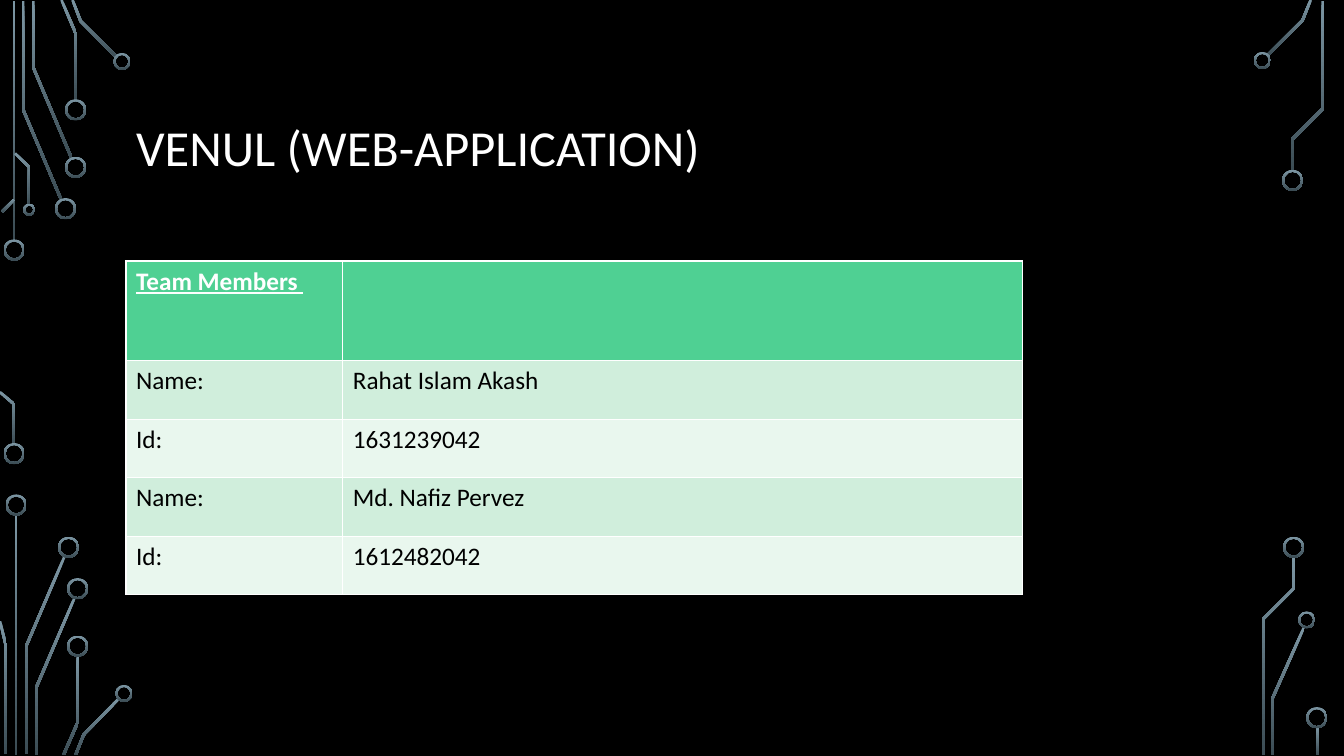
"""Build the team slide with its circuit-board frame."""
from itertools import pairwise
from pptx import Presentation
from pptx.dml.color import RGBColor
from pptx.enum.shapes import MSO_SHAPE
from pptx.enum.text import MSO_ANCHOR, PP_ALIGN
from pptx.util import Inches, Pt

DONUT = MSO_SHAPE.DONUT
MIDDLE = MSO_ANCHOR.MIDDLE
LEFT = PP_ALIGN.LEFT
WHITE = RGBColor.from_string("FFFFFF")
BLACK = RGBColor.from_string("000000")
THEME = {
    "back": BLACK,
    "wire": [RGBColor.from_string(c) for c in ("7C96A3", "3B4C54")],
    "rows": [RGBColor.from_string(c) for c in ("E9F7EE", "D0EEDC")],
    "top": RGBColor.from_string("4FD093"),
    "title": {"name": "Calibri", "size": Pt(36), "color": WHITE},
    "head": {"name": "Calibri", "size": Pt(18), "color": WHITE,
             "bold": True, "underline": True},
    "body": {"name": "Calibri", "size": Pt(18), "color": BLACK,
             "bold": False, "underline": False},
}
HALF = 0.013
RING = 0.02

TRACES = [
    [(0.14, 0.01), (0.14, 2.4)],
    [(0.23, 0.01), (0.23, 1.09), (0.61, 1.99)],
    [(0.33, 0.01), (0.33, 0.67), (0.71, 1.57)],
    [(0.61, 0), (0.75, 0.33), (0.75, 1)],
    [(0.72, 0), (0.8, 0.21), (1.16, 0.57)],
    [(0.02, 2.1), (0.14, 1.98)],
    [(0, 3.89), (0.14, 4.01), (0.14, 4.41)],
    [(0.15, 1.52), (0.29, 1.66), (0.29, 2.03)],
    [(0.16, 5.1), (0.16, 7.49)],
    [(0.26, 7.48), (0.26, 6.41), (0.64, 5.52)],
    [(0, 6.16), (0.06, 6.41), (0.06, 7.48)],
    [(0.36, 7.49), (0.36, 6.82), (0.74, 5.93)],
    [(0.63, 7.49), (0.77, 7.17), (0.77, 6.5)],
    [(0.75, 7.49), (0.83, 7.29), (1.18, 6.93)],
    [(12.57, 0.55), (12.92, 0.2), (13, 0)],
    [(12.62, 7.49), (12.62, 6.93), (12.93, 6.23)],
    [(13.12, 0.01), (13.12, 1.08), (12.82, 1.38), (12.82, 1.69)],
    [(12.83, 5.52), (12.83, 5.84), (12.53, 6.14), (12.53, 7.49)],
    [(13.07, 7.21), (13.07, 7.49)],
]
PADS = {
    0.21: [(0.14, 2.48), (0.14, 4.5), (0.65, 2.07), (0.75, 1.66),
           (0.75, 1.09), (0.16, 5.01), (0.68, 5.43), (0.77, 5.84),
           (0.77, 6.41), (12.82, 1.79), (12.83, 5.43), (13.06, 7.12)],
    0.17: [(1.21, 0.61), (1.23, 6.88), (12.52, 0.6), (12.96, 6.15)],
    0.12: [(0.29, 2.08)],
}
TEAM = [
    ("Team Members ", ""),
    ("Name:", "Rahat Islam Akash"),
    ("Id:", "1631239042"),
    ("Name:", "Md. Nafiz Pervez"),
    ("Id:", "1612482042"),
]


def shade(shape):
    shape.shadow.inherit = False
    shape.line.fill.background()
    shape.fill.gradient()
    shape.fill.gradient_angle = 270
    for spot, (stop, tone) in enumerate(zip(shape.fill.gradient_stops, THEME["wire"])):
        stop.position = spot
        stop.color.rgb = tone


def write(frame, text, look):
    para = frame.paragraphs[0]
    run = para.add_run()
    run.text = text
    for key, value in look.items():
        if key == "color":
            run.font.color.rgb = value
        else:
            setattr(run.font, key, value)
    return para


deck = Presentation()
deck.slide_width, deck.slide_height = Inches(13.33), Inches(7.5)
slide = deck.slides.add_slide(deck.slide_layouts[5])
slide.background.fill.solid()
slide.background.fill.fore_color.rgb = THEME["back"]

for trace in TRACES:
    nodes = [complex(*node) for node in trace]
    ways = [(b - a) / abs(b - a) for a, b in pairwise(nodes)]
    turns = [a + b for a, b in pairwise([ways[0], *ways, ways[-1]])]
    sides = [2j * HALF * turn / abs(turn) ** 2 for turn in turns]
    edge = [n + s for n, s in zip(nodes, sides)]
    edge += [n - s for n, s in zip(nodes[::-1], sides[::-1])]
    spots = [(Inches(p.real), Inches(p.imag)) for p in edge]
    pen = slide.shapes.build_freeform(*spots[0], scale=1.0)
    pen.add_line_segments(spots[1:], close=True)
    shade(pen.convert_to_shape())

for size, spots in PADS.items():
    for x, y in spots:
        pad = slide.shapes.add_shape(
            DONUT, Inches(x - size / 2), Inches(y - size / 2), Inches(size), Inches(size))
        pad.adjustments[0] = RING / size
        shade(pad)

title = slide.shapes.title
title.left, title.top = Inches(1.25), Inches(0.68)
title.width, title.height = Inches(10.83), Inches(1.62)
title.text_frame.vertical_anchor = MIDDLE
para = write(title.text_frame, "VENUL (WEB-APPLICATION)", THEME["title"])
para.alignment = LEFT
para.line_spacing = 0.9

grid = slide.shapes.add_table(
    len(TEAM), 2, Inches(1.25), Inches(2.59), Inches(8.89), Inches(3.3)).table
for col, width in zip(grid.columns, (2.15, 6.74)):
    col.width = Inches(width)
for r, texts in enumerate(TEAM):
    grid.rows[r].height = Inches(0.58 if r else 0.99)
    for c, text in enumerate(texts):
        cell = grid.cell(r, c)
        cell.fill.solid()
        cell.fill.fore_color.rgb = THEME["rows"][r % 2] if r else THEME["top"]
        if text:
            write(cell.text_frame, text, THEME["body" if r else "head"])

deck.save("out.pptx")
